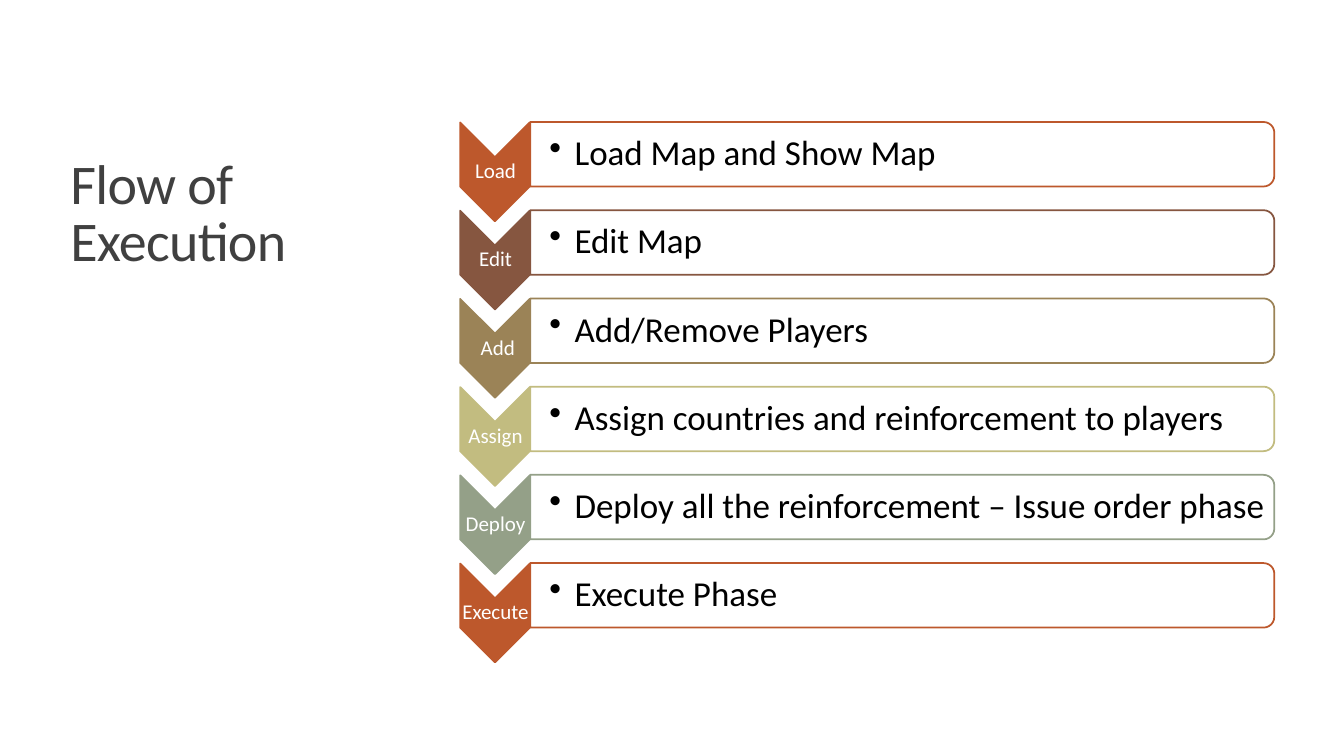
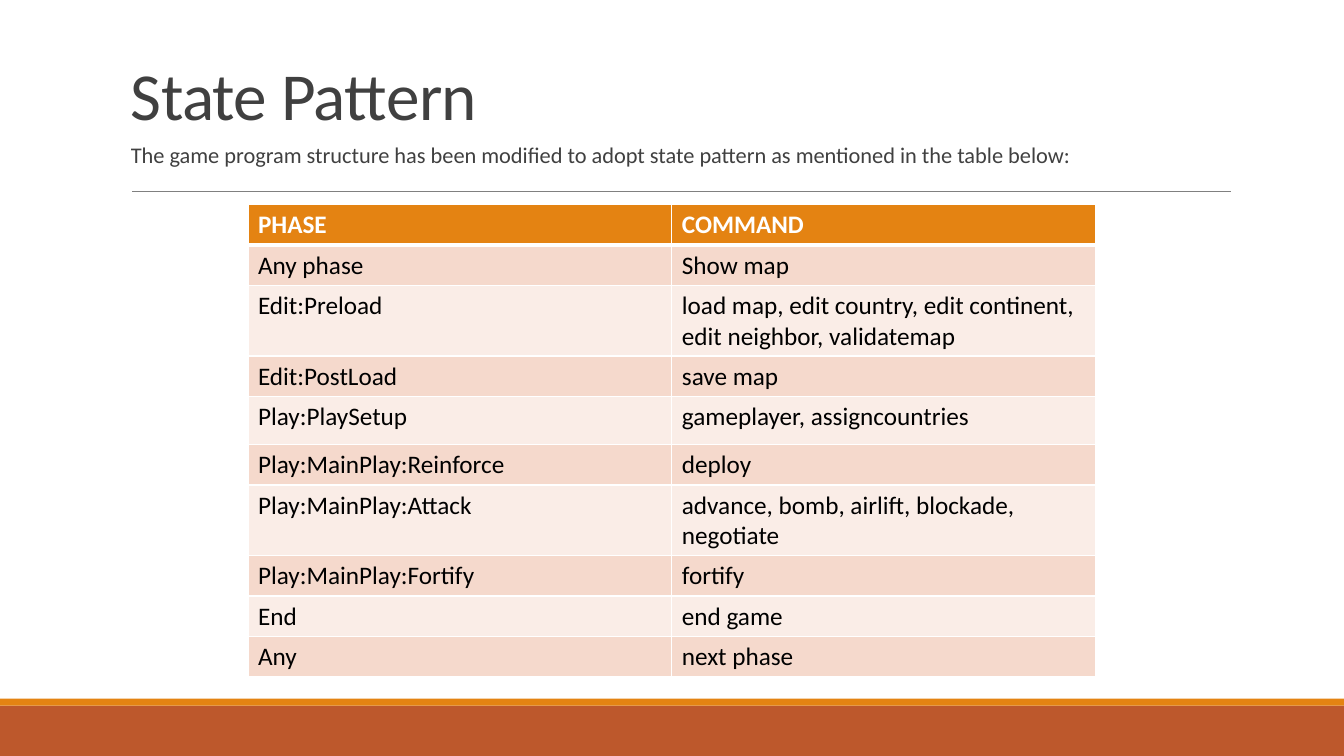
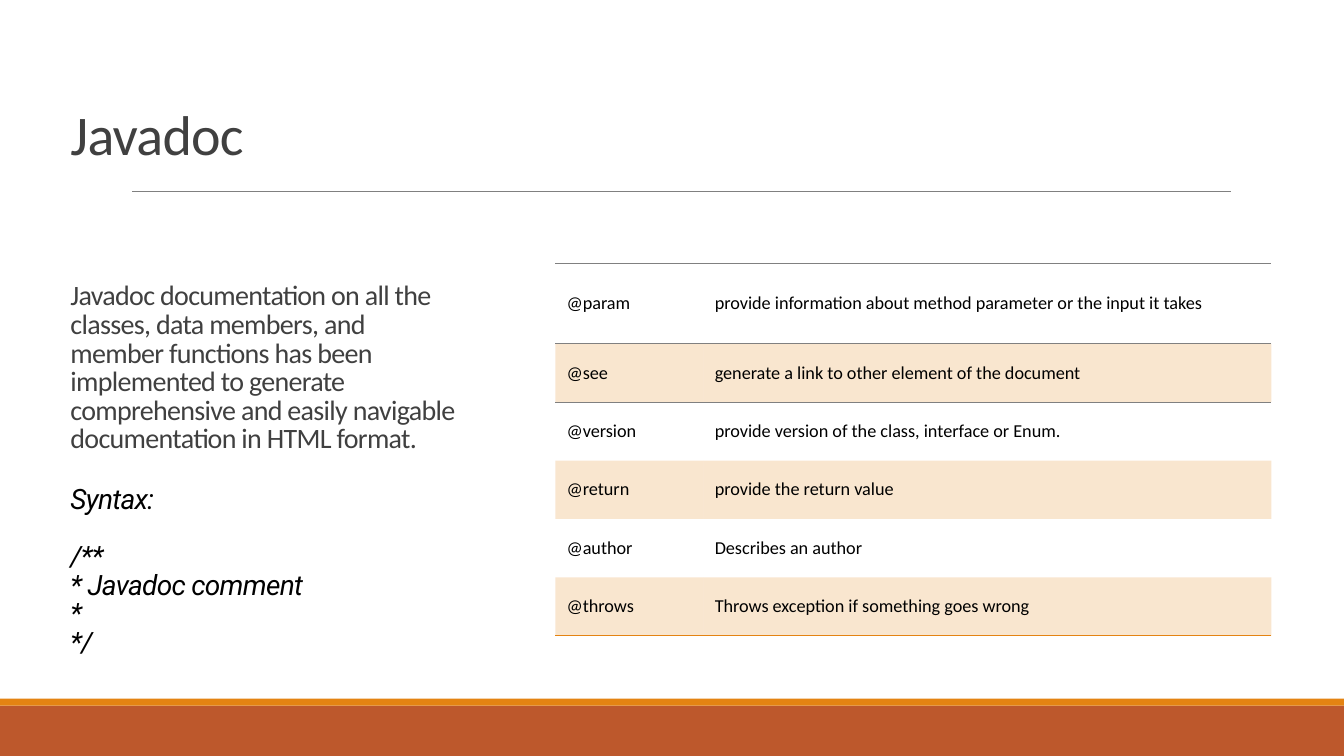
import pptx
import pptx.util
import pptx.dml.color
import pptx.enum.shapes
import pptx.enum.text
import pptx.oxml.ns
import lxml.etree

Pt = pptx.util.Pt
Inches = pptx.util.Inches
qn = pptx.oxml.ns.qn
rgb = pptx.dml.color.RGBColor.from_string
MSO = pptx.enum.shapes.MSO_SHAPE
ANCHOR = pptx.enum.text.MSO_ANCHOR
ALIGN = pptx.enum.text.PP_ALIGN

RUST, ORANGE, GREY, INK = "BD582C", "E48312", "808080", "404040"
WHITE, BLACK = "FFFFFF", "000000"
TITLE = dict(color=INK, spc=-50, line=0.85)

prs = pptx.Presentation()
prs.slide_width, prs.slide_height = Inches(13.33), Inches(7.5)
COL, ROW = prs.slide_width / 100, prs.slide_height / 100


def shape(s, kind, x, y, w, h, fill, line=None, rotation=0, alpha=None):
    sp = s.shapes.add_shape(kind, int(x * COL), int(y * ROW), int(w * COL), int(h * ROW))
    sp.shadow.inherit = False
    sp.rotation = rotation
    sp.fill.solid()
    sp.fill.fore_color.rgb = rgb(fill)
    if alpha:
        clr = sp._element.spPr.find(qn("a:solidFill"))[0]
        lxml.etree.SubElement(clr, qn("a:alpha"), val=str(alpha * 1000))
    if line:
        sp.line.color.rgb = rgb(line)
        sp.line.width = Pt(1.25)
    else:
        sp.line.fill.background()


def text(s, x, y, w, h, paras, size, color=BLACK, line=0.9, spc=0, anchor=ANCHOR.TOP,
         align=ALIGN.LEFT, margins=(0.1, 0.05, 0.1, 0.05), bullet=None):
    tf = s.shapes.add_textbox(int(x * COL), int(y * ROW), int(w * COL), int(h * ROW)).text_frame
    tf.word_wrap = True
    tf.vertical_anchor = anchor
    for side, inset in zip(("left", "top", "right", "bottom"), margins):
        setattr(tf, "margin_" + side, Inches(inset))
    for i, (words, extra) in enumerate(paras):
        f = dict(size=size, color=color, name="Calibri", italic=False, before=0) | extra
        p = tf.add_paragraph() if i else tf.paragraphs[0]
        for key, val in dict(alignment=align, line_spacing=line, space_before=Pt(f["before"])).items():
            setattr(p, key, val)
        if bullet:
            pPr = p._p.get_or_add_pPr()
            pPr.set("marL", str(Inches(0.25)))
            pPr.set("indent", str(-Inches(0.25)))
            lxml.etree.SubElement(pPr, qn("a:buChar"), char=bullet)
        r = p.add_run()
        r.text = words
        for key, val in dict(name=f["name"], size=Pt(f["size"]), italic=f["italic"]).items():
            setattr(r.font, key, val)
        r.font.color.rgb = rgb(f["color"])
        r._r.get_or_add_rPr().set("spc", str(spc))


flow, state, javadoc = [prs.slides.add_slide(prs.slide_layouts[6]) for _ in range(3)]

for s in (state, javadoc):
    shape(s, MSO.RECTANGLE, 0, 93.33, 100, 6.67, RUST)
    shape(s, MSO.RECTANGLE, 0, 92.4, 100, 0.93, ORANGE)
    rule = s.shapes.add_connector(pptx.enum.shapes.MSO_CONNECTOR.STRAIGHT, int(9.83 * COL),
                                  int(25.33 * ROW), int(91.58 * COL), int(25.33 * ROW))
    rule.line.color.rgb = rgb(GREY)
    rule.line.width = Pt(0.5)
    lxml.etree.SubElement(rule._element.spPr, qn("a:effectLst"))

text(flow, 4.5, 13.87, 26.7, 22.93, [("Flow of Execution", {})], 40, anchor=ANCHOR.BOTTOM, **TITLE)
steps = [
    ("Load", "Load Map and Show Map", RUST),
    ("Edit", "Edit Map", "865640"),
    (" Add", "Add/Remove Players", "9B8357"),
    ("Assign", "Assign countries and reinforcement to players", "C2BC80"),
    ("Deploy", "Deploy all the reinforcement – Issue order phase", "94A088"),
    ("Execute", "Execute Phase", RUST),
]
for i, (label, action, color) in enumerate(steps):
    dy = i * 11.67
    shape(flow, MSO.CHEVRON, 33.15, 18.13 + dy, 7.35, 9.2, color, color, 90)
    text(flow, 34.28, 20.8 + dy, 5.18, 3.87, [(label, {})], 15, WHITE, anchor=ANCHOR.MIDDLE,
         align=ALIGN.CENTER, margins=[0.01] * 4)
    shape(flow, MSO.ROUND_2_SAME_RECTANGLE, 64.73, -28.8 + dy, 4.8, 98.4, WHITE, color, 90, 90)
    text(flow, 39.45, 16.53 + dy, 55.13, 7.73, [(action, {})], 25, anchor=ANCHOR.MIDDLE,
         margins=(0.19, 0.02, 0.02, 0.02), bullet="•")

text(state, 9, -2.8, 82.5, 21.2, [("State Pattern", {})], 48, anchor=ANCHOR.BOTTOM, **TITLE)
text(state, 9, 18.4, 82.5, 6, [("The game program structure has been modified to adopt state pattern "
     "as mentioned in the table below:", {})], 16, INK)

code = dict(name="Roboto", color=BLACK, italic=True)
text(javadoc, 4.5, 13.87, 33, 17.73, [
    ("Javadoc", dict(size=40)),
    ("Javadoc documentation on all the classes, data members, and member\u00a0functions has been "
     "implemented to generate comprehensive and easily navigable documentation in HTML format.",
     dict(before=83)),
    ("Syntax:", code | dict(before=23)),
    ("/**", code | dict(before=20.5)),
    ("* Javadoc comment", code),
    ("*", code),
    ("*/", code),
], 20, **TITLE)

phases = [
    ("PHASE", "COMMAND"),
    ("Any phase", "Show map"),
    ("Edit:Preload", "load map, edit country, edit continent, edit neighbor, validatemap"),
    ("Edit:PostLoad", "save map"),
    ("Play:PlaySetup", "gameplayer, assigncountries"),
    ("Play:MainPlay:Reinforce", "deploy"),
    ("Play:MainPlay:Attack", "advance, bomb, airlift, blockade, negotiate"),
    ("Play:MainPlay:Fortify", "fortify"),
    ("End", "end game"),
    ("Any", "next phase"),
]
tags = [
    ("@param", "provide information about method parameter or the input it takes"),
    ("@see", "generate a link to other element of the document"),
    ("@version", "provide version of the class, interface or Enum."),
    ("@return", "provide the return value"),
    ("@author", "Describes an author"),
    ("@throws", "Throws exception if something goes wrong"),
]
phase_heights = [5.07, 5.07, 9.2, 5.07, 6.4, 5.07, 8.93, 5.07, 5.07, 5.07]
phase_fills = [(ORANGE, 100)] + [("F5D9CC", 100), ("FAEDE7", 100)] * 4 + [("F5D9CC", 100)]
grid = {side: (WHITE, 1) for side in "LRTB"}
phase_edges = [grid | dict(B=(WHITE, 3)), grid | dict(T=(WHITE, 3))] + [grid] * 8
tag_edges = [dict(T=(GREY, 0.5), B=(GREY, 0.5)), dict(T=(GREY, 0.5)), {}, {}, {}, dict(B=(ORANGE, 1))]
tables = [
    (state, 18.45, 27.07, (31.54, 31.54), phase_heights, phases, phase_fills, phase_edges,
     18, True, ANCHOR.TOP, (0.1, 0.05)),
    (javadoc, 41.33, 34.8, (11.03, 42.23), [10.67] + [7.73] * 5, tags, [None, (ORANGE, 20)] * 3,
     tag_edges, 13, False, ANCHOR.MIDDLE, (0.11, 0.15)),
]
for s, x, y, widths, heights, data, fills, edges, size, header, anchor, (mx, my) in tables:
    tbl = s.shapes.add_table(len(data), 2, int(x * COL), int(y * ROW), int(sum(widths) * COL),
                             int(sum(heights) * ROW)).table
    tbl._tbl.tblPr.find(qn("a:tableStyleId")).text = "{2D5ABB26-0587-4C30-8999-92F81FD0307C}"
    tbl.first_row, tbl.horz_banding = header, False
    for column, width in zip(tbl.columns, widths):
        column.width = int(width * COL)
    for i, (row, height) in enumerate(zip(tbl.rows, heights)):
        row.height = int(height * ROW)
        for cell, words in zip(row.cells, data[i]):
            for key, val in dict(vertical_anchor=anchor, margin_left=Inches(mx), margin_right=Inches(mx),
                                 margin_top=Inches(my), margin_bottom=Inches(my)).items():
                setattr(cell, key, val)
            tcPr = cell._tc.get_or_add_tcPr()
            for side in "LRTB":
                if side in edges[i]:
                    color, width = edges[i][side]
                    ln = lxml.etree.SubElement(tcPr, qn("a:ln" + side), w=str(Pt(width)))
                    solid = lxml.etree.SubElement(ln, qn("a:solidFill"))
                    lxml.etree.SubElement(solid, qn("a:srgbClr"), val=color)
            if fills[i]:
                color, alpha = fills[i]
                cell.fill.solid()
                cell.fill.fore_color.rgb = rgb(color)
                if alpha < 100:
                    clr = tcPr.find(qn("a:solidFill"))[0]
                    lxml.etree.SubElement(clr, qn("a:alpha"), val=str(alpha * 1000))
            else:
                cell.fill.background()
            r = cell.text_frame.paragraphs[0].add_run()
            r.text = words
            head = header and i == 0
            for key, val in dict(name="Calibri", size=Pt(size), bold=head).items():
                setattr(r.font, key, val)
            r.font.color.rgb = rgb(WHITE if head else BLACK)

prs.save("out.pptx")
